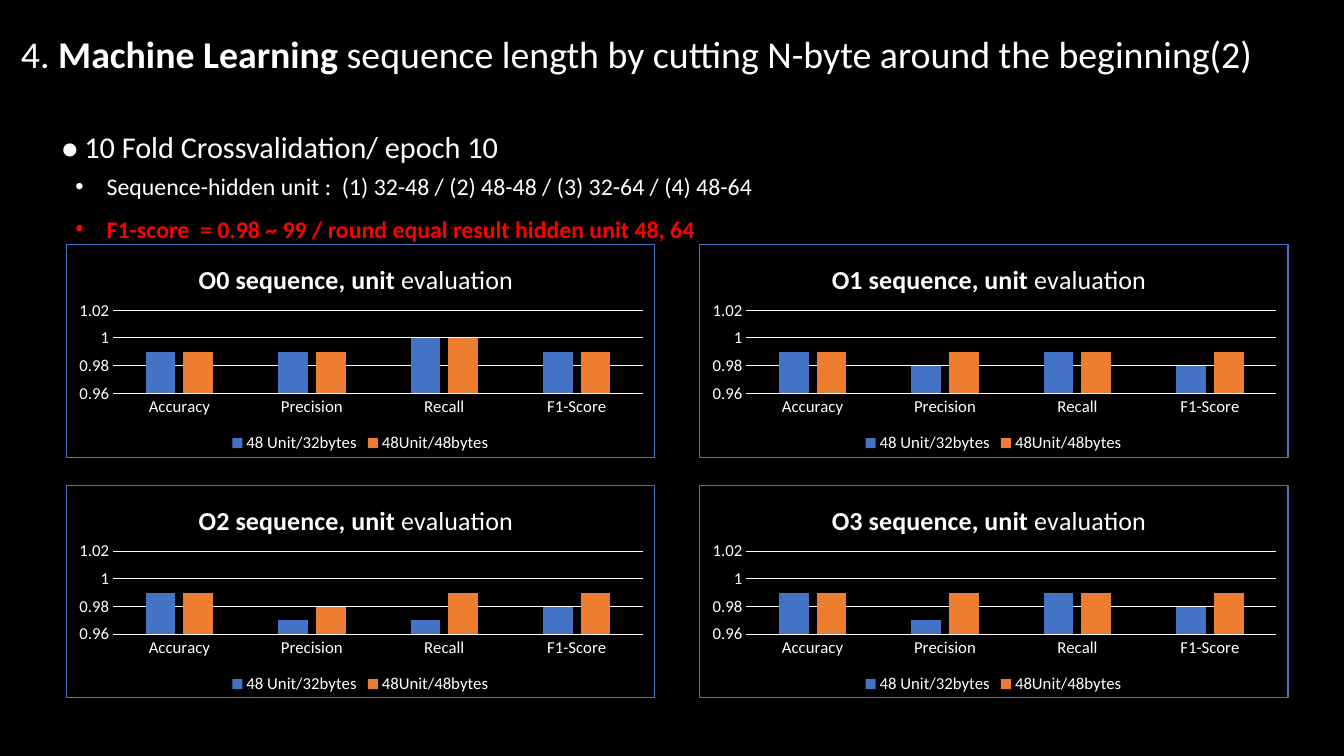
from dataclasses import dataclass

from lxml import etree
from pptx import Presentation
from pptx.chart.data import CategoryChartData
from pptx.dml.color import RGBColor
from pptx.enum.chart import XL_CHART_TYPE, XL_LEGEND_POSITION, XL_TICK_MARK
from pptx.oxml import parse_xml
from pptx.oxml.ns import nsdecls, qn
from pptx.util import Inches, Pt


@dataclass(frozen=True)
class Theme:
    font: str = "Calibri"
    back: RGBColor = RGBColor(0, 0, 0)
    ink: RGBColor = RGBColor(255, 255, 255)
    alert: RGBColor = RGBColor(255, 0, 0)
    first: str = "4472C4"
    second: str = "ED7D31"
    heading: float = 27
    subheading: float = 21.6
    body: float = 17
    chart_title: float = 18.6
    chart_text: float = 12
    hairline: float = 0.75


theme = Theme()


def write(paragraph, runs, size, color=theme.ink):
    """Add (text, bold) runs to a paragraph."""
    for text, bold in runs:
        run = paragraph.add_run()
        run.text = text
        font = run.font
        font.name, font.size, font.bold = theme.font, Pt(size), bold
        font.color.rgb = color


def place(parent, index, x, y, w=None, h=None):
    """Give a chart part a fixed place, in shares of the chart."""
    for old in parent.findall(qn("c:layout")):
        parent.remove(old)
    layout = etree.Element(qn("c:layout"))
    manual = etree.SubElement(layout, qn("c:manualLayout"))
    settings = {"xMode": "edge", "yMode": "edge", "x": x, "y": y, "w": w, "h": h}
    if w is not None:
        settings = {"layoutTarget": "inner", **settings}
    for name, value in settings.items():
        if value is not None:
            etree.SubElement(manual, qn(f"c:{name}")).set("val", str(value))
    parent.insert(index, layout)


# Slide
prs = Presentation()
prs.slide_width, prs.slide_height = Inches(13.33), Inches(7.5)
slide = prs.slides.add_slide(prs.slide_layouts[6])
slide.background.fill.solid()
slide.background.fill.fore_color.rgb = theme.back

# Text boxes: left, top, width, height
heading, subheading, bullets = [
    slide.shapes.add_textbox(*map(Inches, box)).text_frame
    for box in [(0.11, 0.26, 13.1, 0.56), (0.52, 1.04, 12.81, 0.88), (0.65, 1.51, 9.37, 0.91)]
]
for frame in (heading, subheading, bullets):
    frame.word_wrap = True

write(heading.paragraphs[0], [
    ("4. ", False),
    ("Machine Learning ", True),
    ("sequence length by cutting N-byte around the beginning(2)", False),
], theme.heading)

subheading.paragraphs[0].line_spacing = 1.5
write(subheading.paragraphs[0], [("\u2981 10 Fold Crossvalidation/ epoch 10", False)], theme.subheading)

# Bulleted findings
findings = [
    ("Sequence-hidden unit :  (1) 32-48 / (2) 48-48 / (3) 32-64 / (4) 48-64", False, theme.ink),
    ("F1-score  = 0.98 ~ 99 / round equal result hidden unit 48, 64", True, theme.alert),
]
bullets.add_paragraph()
for paragraph, (text, bold, color) in zip(bullets.paragraphs, findings):
    paragraph.line_spacing = 1.5
    write(paragraph, [(text, bold)], theme.body, color)
    props = paragraph._p.get_or_add_pPr()
    props.set("marL", str(Inches(0.31)))
    props.set("indent", str(-Inches(0.31)))
    etree.SubElement(props, qn("a:buFont")).set("typeface", "Arial")
    etree.SubElement(props, qn("a:buChar")).set("char", "•")

# Charts on a two by two grid
left, top, width, height = 0.65, 2.42, 5.85, 2.12
column_step, row_step = 6.28, 2.39
metrics = ["Accuracy", "Precision", "Recall", "F1-Score"]
evaluations = {
    "O0": ([0.99, 0.99, 1, 0.99], [0.99, 0.99, 1, 0.99]),
    "O1": ([0.99, 0.98, 0.99, 0.98], [0.99, 0.99, 0.99, 0.99]),
    "O2": ([0.99, 0.97, 0.97, 0.98], [0.99, 0.98, 0.99, 0.99]),
    "O3": ([0.99, 0.97, 0.99, 0.98], [0.99, 0.99, 0.99, 0.99]),
}
for number, (level, (short, long)) in enumerate(evaluations.items()):
    row, column = divmod(number, 2)
    data = CategoryChartData()
    data.categories = metrics
    data.add_series("48 Unit/32bytes", short)
    data.add_series("48Unit/48bytes", long)
    chart = slide.shapes.add_chart(
        XL_CHART_TYPE.COLUMN_CLUSTERED,
        Inches(left + column * column_step), Inches(top + row * row_step),
        Inches(width), Inches(height), data,
    ).chart
    chart.font.name, chart.font.size = theme.font, Pt(theme.chart_text)
    chart.font.color.rgb = theme.ink

    # Title
    chart.has_title = True
    write(chart.chart_title.text_frame.paragraphs[0],
          [(f"{level} sequence, unit ", True), ("evaluation", False)], theme.chart_title)
    chart.chart_title.include_in_layout = False
    place(chart.chart_title._element, 1, 0.22, 0.07)

    # Legend
    chart.has_legend = True
    chart.legend.position = XL_LEGEND_POSITION.BOTTOM
    chart.legend.include_in_layout = False

    # Axes
    scale = chart.value_axis
    scale.minimum_scale, scale.maximum_scale, scale.major_unit = 0.96, 1.02, 0.02
    scale.tick_labels.number_format = "General"
    scale.tick_labels.number_format_is_linked = False
    scale.format.line.fill.background()
    for axis in (scale, chart.category_axis):
        axis.major_tick_mark = axis.minor_tick_mark = XL_TICK_MARK.NONE
    for line in (scale.major_gridlines.format.line, chart.category_axis.format.line):
        line.color.rgb = theme.ink
        line.width = Pt(theme.hairline)

    # Columns
    plot = chart.plots[0]
    plot.gap_width, plot.overlap, plot.vary_by_categories = 219, -27, False
    for series, color in zip(plot.series, (theme.first, theme.second)):
        series.format.fill.solid()
        series.format.fill.fore_color.rgb = RGBColor.from_string(color)
        series.invert_if_negative = False

    # Plot place and frame
    space = chart._chartSpace
    place(space.chart.plotArea, 0, 0.08, 0.31, 0.9, 0.39)
    space.chart.addnext(parse_xml(
        f'<c:spPr {nsdecls("c", "a")}><a:noFill/><a:ln w="{Pt(theme.hairline)}"><a:solidFill>'
        f'<a:srgbClr val="{theme.first}"/></a:solidFill></a:ln></c:spPr>'))

prs.save("out.pptx")
